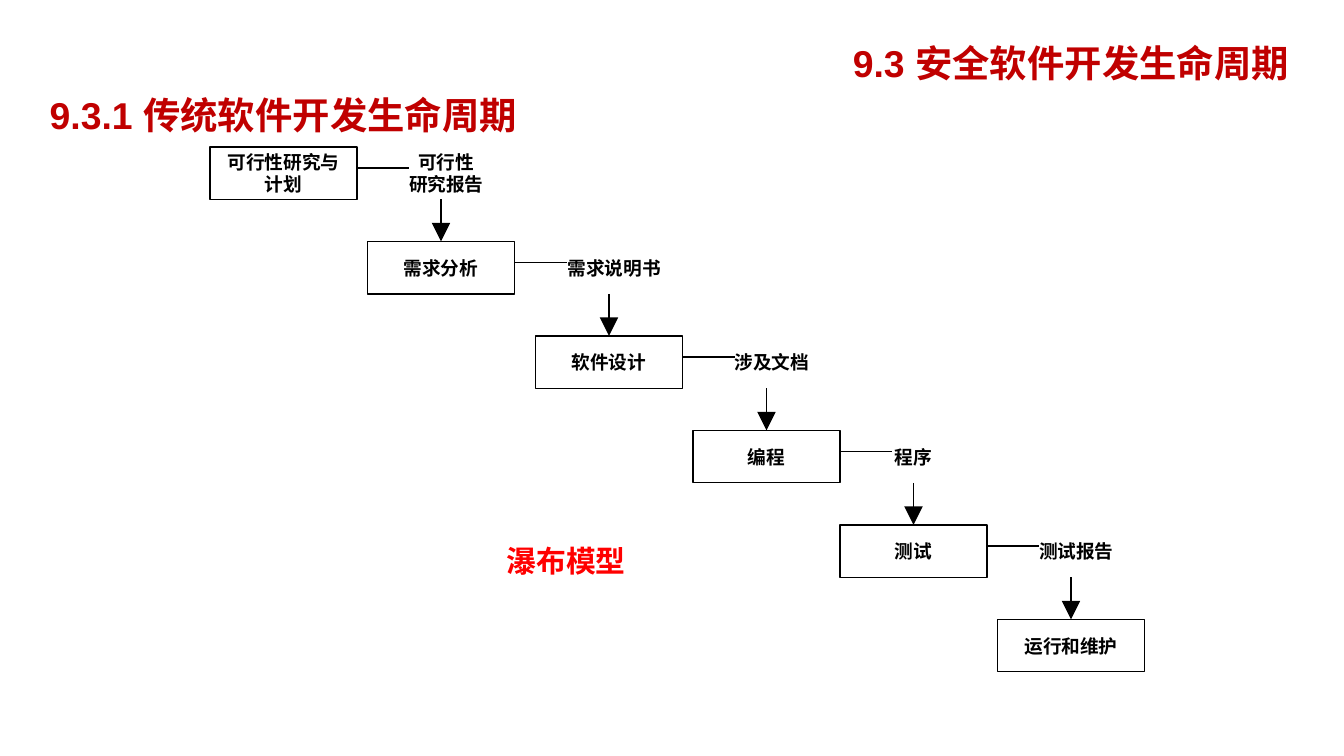
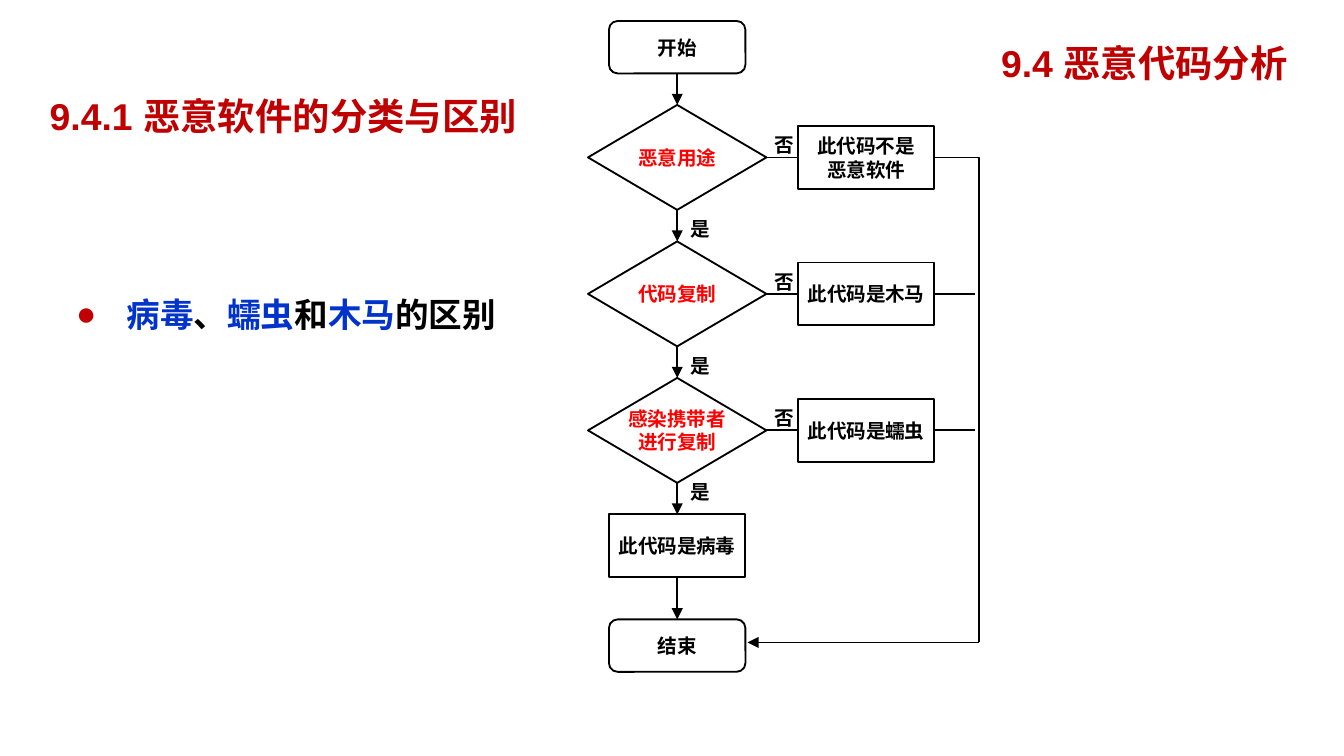
from dataclasses import dataclass
from lxml.etree import SubElement
from pptx import Presentation
from pptx.dml.color import RGBColor
from pptx.enum.shapes import MSO_CONNECTOR, MSO_SHAPE
from pptx.enum.text import MSO_ANCHOR, PP_ALIGN
from pptx.oxml.ns import qn
from pptx.util import Cm, Pt


@dataclass(frozen=True)
class Theme:
    font: str = "Arial"
    black: str = "000000"
    title: str = "C00000"
    red: str = "FF0000"
    blue: str = "0033CC"
    head: float = 20
    body: float = 18
    note: float = 16
    step: float = 10
    flow: float = 10.5
    thin: float = 0.75
    line: float = 1


T = Theme()

# Content; places are in grid units, 128 to the slide width
HEADS = [
    [("9.3 安全软件开发生命周期", (79, 2.1, 46, 7.8)),
     ("9.3.1 传统软件开发生命周期", (3, 7, 48, 7.8))],
    [("9.4 恶意代码分析", (92, 2.1, 34, 7.8)),
     ("9.4.1 恶意软件的分类与区别", (3, 8, 48, 6))],
]
# Phase, its left edge, the document it yields, width of that document
PHASES = [
    (["可行性研究与", "计划"], 20, ["可行性", "研究报告"], 7),
    (["需求分析"], 35, ["需求说明书"], 9),
    (["软件设计"], 51, ["涉及文档"], 7),
    (["编程"], 66, ["程序"], 4),
    (["测试"], 80, ["测试报告"], 7),
    (["运行和维护"], 95, None, 0),
]
MODEL = "瀑布模型"
TOPIC = [("病毒", T.blue), ("、", T.black), ("蠕虫", T.blue),
         ("和", T.black), ("木马", T.blue), ("的区别", T.black)]
TESTS = [
    (["恶意用途"], ["此代码不是", "恶意软件"]),
    (["代码复制"], ["此代码是木马"]),
    (["感染携带者", "进行复制"], ["此代码是蠕虫"]),
]
START, VIRUS, END = "开始", "此代码是病毒", "结束"
YES, NO = "是", "否"


# Helpers
def grid(n):
    return Cm(n * 25.4 / 128)


def add_run(para, text, size, color):
    run = para.add_run()
    run.text = text
    font = run.font
    font.name, font.size, font.bold = T.font, Pt(size), True
    font.color.rgb = RGBColor.from_string(color)


def write(shape, lines, size, color=T.black, wrap=False,
          align=PP_ALIGN.CENTER, anchor=MSO_ANCHOR.MIDDLE, pad=(0, 0)):
    frame = shape.text_frame
    frame.word_wrap, frame.vertical_anchor = wrap, anchor
    frame.margin_left, frame.margin_top = Cm(pad[0]), Cm(pad[1])
    frame.margin_right = frame.margin_bottom = 0
    for i, line in enumerate(lines):
        para = frame.add_paragraph() if i else frame.paragraphs[0]
        para.alignment = align
        add_run(para, line, size, color)


def add_text(slide, area, lines, size, color=T.black, **more):
    box = slide.shapes.add_textbox(*map(grid, area))
    write(box, lines, size, color, **more)


def add_box(slide, kind, area, lines, size, width, color=T.black):
    box = slide.shapes.add_shape(kind, *map(grid, area))
    box.shadow.inherit = False
    box.fill.background()
    box.line.width = Pt(width)
    box.line.color.rgb = RGBColor.from_string(T.black)
    write(box, lines, size, color)


def link(slide, x1, y1, x2, y2, width, tip=None, bent=False):
    kind = MSO_CONNECTOR.ELBOW if bent else MSO_CONNECTOR.STRAIGHT
    wire = slide.shapes.add_connector(kind, *map(grid, (x1, y1, x2, y2)))
    wire.line.width = Pt(width)
    wire.line.color.rgb = RGBColor.from_string(T.black)
    props = wire.element.spPr
    if bent:
        props.find(qn("a:prstGeom")).set("prst", "bentConnector2")
    if tip:
        SubElement(props.find(qn("a:ln")), qn("a:tailEnd"),
                   type="triangle", w=tip, len=tip)
    SubElement(props, qn("a:effectLst"))


def add_slide(deck, heads):
    slide = deck.slides.add_slide(deck.slide_layouts[6])
    for text, area in heads:
        add_text(slide, area, [text], T.head, T.title, wrap=True)
    return slide


# Waterfall model: each phase is one step right and down
def draw_fall(slide):
    wide, high, drop, reach = 14, 5, 9, 19
    slack = 0.5  # room on both sides keeps each document label on its line
    for i, (phase, x, paper, span) in enumerate(PHASES):
        y = 14 + i * drop
        add_box(slide, MSO_SHAPE.RECTANGLE, (x, y, wide, high),
                phase, T.step, T.thin)
        if paper:
            area = (x + reach - slack, y, span + 2 * slack, high)
            add_text(slide, area, paper, T.step)
            link(slide, x + wide, y + 2, x + reach, y + 2, T.thin)
            mid = PHASES[i + 1][1] + wide / 2
            link(slide, mid, y + high, mid, y + drop, T.thin, "lg")
    add_text(slide, (47, 51, 27, 4.7), [MODEL], T.note, T.red, wrap=True,
             align=PP_ALIGN.LEFT, pad=(0.25, 0))


# Bulleted topic line
def draw_topic(slide):
    box = slide.shapes.add_textbox(*map(grid, (6, 22, 48, 23)))
    frame = box.text_frame
    frame.word_wrap, frame.margin_top = True, Cm(0.81)
    para = frame.paragraphs[0]
    para.line_spacing = 1.5
    props = para._p.get_or_add_pPr()
    props.set("marL", str(Cm(0.95)))
    props.set("indent", str(-Cm(0.95)))
    tint = SubElement(props, qn("a:buClr"))
    SubElement(tint, qn("a:srgbClr"), val=T.title)
    SubElement(props, qn("a:buFont"), typeface=T.font)
    SubElement(props, qn("a:buChar"), char="●")
    for text, color in TOPIC:
        add_run(para, text, T.body, color)


# Flow chart that tells the kinds of code apart
def draw_flow(slide):
    left, wide, side, mid = 58, 13, 76, 64.5
    rail, base = 93.2, 61.2
    tall, gap = 10, 13

    def tag(x, y, text):
        add_text(slide, (x, y, 2, 3.6), [text], T.flow,
                 anchor=MSO_ANCHOR.TOP, pad=(0.15, 0.14))

    for kind, y, high, text in [
        (MSO_SHAPE.ROUNDED_RECTANGLE, 2, 5, START),
        (MSO_SHAPE.RECTANGLE, 49, 6, VIRUS),
        (MSO_SHAPE.ROUNDED_RECTANGLE, 59, 5, END),
    ]:
        add_box(slide, kind, (left, y, wide, high), [text], T.flow, T.line)
    link(slide, mid, 7, mid, 10, T.line, "med")
    link(slide, mid, 55, mid, 59, T.line, "med")

    for i, (ask, found) in enumerate(TESTS):
        y = 10 + i * gap
        row = y + tall / 2
        last = i == len(TESTS) - 1
        add_box(slide, MSO_SHAPE.DIAMOND, (56, y, 17, tall),
                ask, T.flow, T.line, T.red)
        add_box(slide, MSO_SHAPE.RECTANGLE, (side, y + 2, wide, 6),
                found, T.flow, T.line)
        link(slide, mid, y + tall, mid, y + gap, T.line, "med")
        link(slide, 73, row, side, row, T.line)
        tag(65, y + tall - last, YES)
        tag(73, y + 2, NO)
        if i:
            link(slide, side + wide, row, rail - 0.3, row, T.line)
        else:
            link(slide, side + wide, row, rail, base, T.line, bent=True)
    link(slide, rail, base, left + wide + 0.2, base, T.line, "med")


def main():
    deck = Presentation()
    deck.slide_width, deck.slide_height = Cm(25.4), Cm(14.29)
    fall, flow = [add_slide(deck, heads) for heads in HEADS]
    draw_fall(fall)
    draw_topic(flow)
    draw_flow(flow)
    deck.save("out.pptx")


if __name__ == "__main__":
    main()
